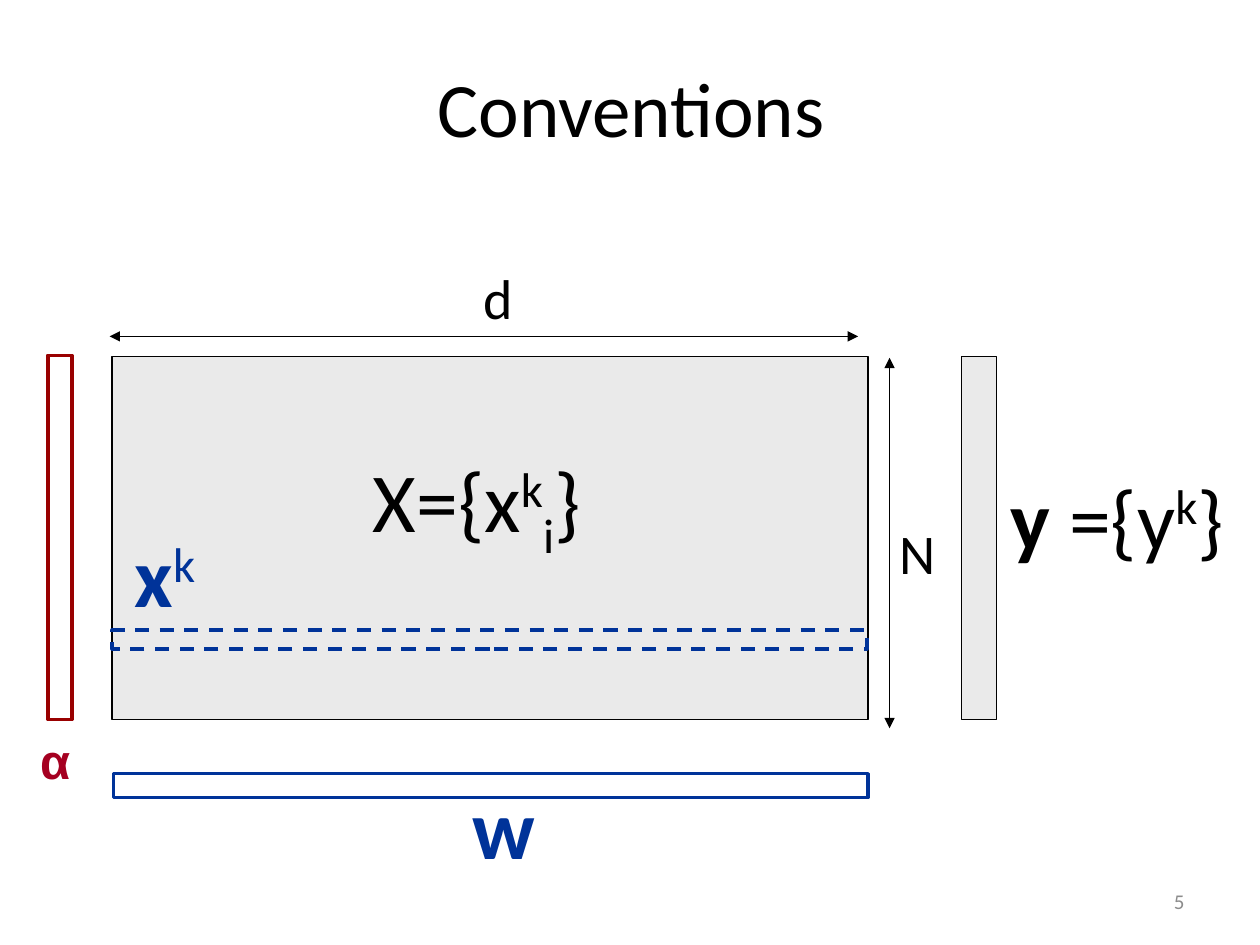
import pptx
import pptx.util
import pptx.dml.color
import pptx.enum.dml
import pptx.enum.shapes
import pptx.enum.text
import pptx.oxml.ns
import lxml.etree
from dataclasses import dataclass

Inches, Pt = pptx.util.Inches, pptx.util.Pt
RGB = pptx.dml.color.RGBColor.from_string
ALIGN = pptx.enum.text.PP_ALIGN
ANCHOR = pptx.enum.text.MSO_ANCHOR


@dataclass(frozen=True)
class Theme:
    black: str = "000000"
    gray: str = "EAEAEA"
    blue: str = "003399"
    red: str = "990000"
    crimson: str = "A50021"
    muted: str = "8C8C8C"
    font: str = "Calibri"
    greek_font: str = "Arial"
    title: int = 44
    symbol: int = 48
    dimension: int = 32
    greek: int = 28
    footer: int = 12
    sup: int = 30000
    sub: int = -25000


T = Theme()

prs = pptx.Presentation()
prs.slide_width, prs.slide_height = Inches(10), Inches(7.5)
s = prs.slides.add_slide(prs.slide_layouts[6])


def add_text(text, at, size, color=T.black, font=T.font, bold=False,
             align=ALIGN.LEFT, anchor=ANCHOR.TOP, wrap=True):
    """Add a text box; text is a string or a list of (text, bold, baseline)."""
    sp = s.shapes.add_textbox(*map(Inches, at))
    tf = sp.text_frame
    tf.word_wrap, tf.vertical_anchor = wrap, anchor
    p = tf.paragraphs[0]
    p.alignment = align
    runs = [(text, bold, 0)] if isinstance(text, str) else text
    for run_text, run_bold, baseline in runs:
        r = p.add_run()
        r.text = run_text
        r.font.name, r.font.size, r.font.bold = font, Pt(size), run_bold
        r.font.color.rgb = RGB(color)
        if baseline:
            r.font._element.set("baseline", str(baseline))


# Title
add_text("Conventions", (0.76, 0.22, 8.5, 1.25), T.title,
         align=ALIGN.CENTER, anchor=ANCHOR.MIDDLE)

# Data matrix, target, alpha, sample row and weight vector
for at, fill, line, width, dash in [
    ((0.89, 2.83, 6, 2.88), T.gray, T.black, 0.75, False),
    ((7.63, 2.83, 0.28, 2.88), T.gray, T.black, 0.75, False),
    ((0.38, 2.82, 0.19, 2.89), None, T.red, 2, False),
    ((0.89, 5, 5.99, 0.15), None, T.blue, 2, True),
    ((0.9, 6.14, 5.99, 0.19), None, T.blue, 2, False),
]:
    sp = s.shapes.add_shape(pptx.enum.shapes.MSO_SHAPE.RECTANGLE, *map(Inches, at))
    sp.shadow.inherit = False
    if fill:
        sp.fill.solid()
        sp.fill.fore_color.rgb = RGB(fill)
    else:
        sp.fill.background()
    sp.line.color.rgb, sp.line.width = RGB(line), Pt(width)
    if dash:
        sp.line.dash_style = pptx.enum.dml.MSO_LINE.DASH

# Dimension arrows for d and N
for ends in [(0.87, 2.67, 6.81, 2.67), (7.06, 2.84, 7.06, 5.78)]:
    cx = s.shapes.add_connector(pptx.enum.shapes.MSO_CONNECTOR.STRAIGHT,
                                *map(Inches, ends))
    cx.line.color.rgb, cx.line.width = RGB(T.black), Pt(0.75)
    spPr = cx._element.spPr
    ln = spPr.find(pptx.oxml.ns.qn("a:ln"))
    for tag in ("a:headEnd", "a:tailEnd"):
        lxml.etree.SubElement(ln, pptx.oxml.ns.qn(tag), type="triangle")
    lxml.etree.SubElement(spPr, pptx.oxml.ns.qn("a:effectLst"))

# Dimension labels
add_text("d", (3.74, 2.04, 0.44, 0.64), T.dimension, wrap=False)
add_text("N", (7.04, 4.07, 0.49, 0.64), T.dimension, wrap=False)

# Matrix and vector symbols
add_text([("X={x", False, 0), ("k", False, T.sup), ("i", False, T.sub), ("}", False, 0)],
         (2.86, 3.51, 3.21, 0.9), T.symbol)
add_text([("x", True, 0), ("k", False, T.sup)],
         (0.97, 4.11, 0.83, 0.9), T.symbol, color=T.blue)
add_text([("y ", True, 0), ("={y", False, 0), ("k", False, T.sup), ("}", False, 0)],
         (7.92, 3.65, 2.83, 0.9), T.symbol)
add_text("α", (0.22, 5.75, 0.51, 0.57), T.greek, color=T.crimson,
         font=T.greek_font, bold=True)
add_text("w", (3.65, 6.11, 0.83, 0.9), T.symbol, color=T.blue, bold=True)

# Slide number
add_text("5", (7.17, 6.95, 2.33, 0.4), T.footer, color=T.muted,
         align=ALIGN.RIGHT, anchor=ANCHOR.MIDDLE)

prs.save("out.pptx")
